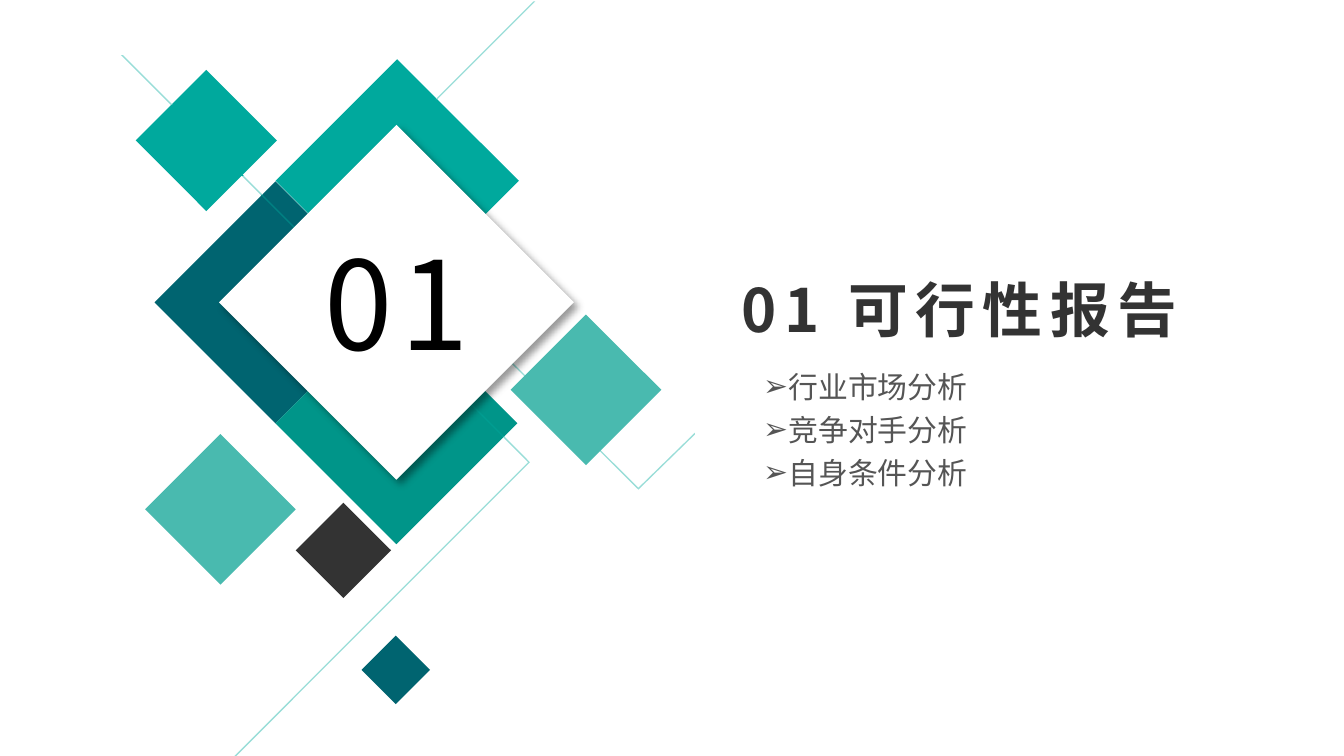
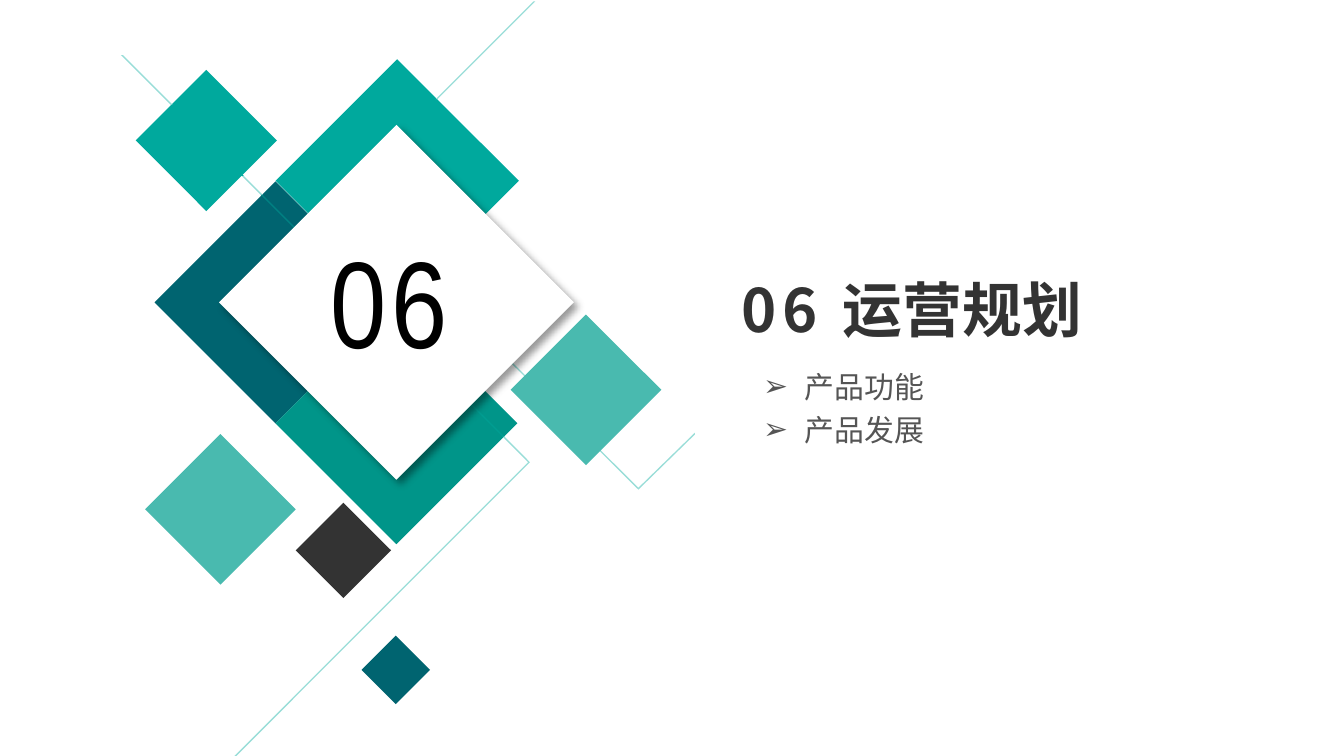
from lxml import etree
from pptx import Presentation
from pptx.dml.color import RGBColor
from pptx.enum.shapes import MSO_SHAPE
from pptx.enum.text import MSO_ANCHOR, MSO_AUTO_SIZE, PP_ALIGN
from pptx.oxml.ns import qn
from pptx.util import Inches, Pt

INK = {
    "teal": "00A99D", "deep": "006470", "green": "009589", "dark": "333333",
    "mint": "49BAAF", "pale": "99DDD8", "shade": "008082", "mid": "009D91",
    "white": "FFFFFF", "black": "000000", "gray": "555555",
}
CJK = "Noto Sans CJK SC"

# Diamonds: left, top, size, colour
BACK = [
    (1.15, 1.35, 1.8, "deep"),
    (2.05, 0.44, 1.81, "teal"),
    (1.01, 0.52, 1.05, "teal"),
    (2.05, 2.25, 1.8, "green"),
    (2.2, 3.74, 0.71, "dark"),
]
PANEL = (1.63, 0.93, 2.64, "white")
FRONT = [
    (3.8, 2.34, 1.12, "mint"),
    (1.08, 3.23, 1.12, "mint"),
    (2.69, 4.73, 0.51, "deep"),
]

# Thin strands: colour, then the spine of each piece
# A piece that bends downwards is widened down, the others sideways
STRANDS = [
    ("pale", [[(3.15, 2.04), (4.75, 3.63), (5.17, 3.22)],
              [(3.97, 0.01), (3.24, 0.74)]]),
    ("teal", [[(3.24, 0.74), (2.55, 1.44), (3.15, 2.05)]]),
    ("pale", [[(3.74, 3.25), (3.93, 3.44), (1.73, 5.64)],
              [(1.8, 1.31), (1.94, 1.45)],
              [(0.9, 0.41), (1.27, 0.78)]]),
    ("shade", [[(1.94, 1.45), (2.84, 2.35)]]),
    ("teal", [[(1.27, 0.78), (1.8, 1.31)]]),
    ("mid", [[(2.84, 2.35), (3.74, 3.25)]]),
]

SLIDES = [
    {"num": "01", "face": CJK, "spot": (2.32, 1.64, 1.6, 1.21), "gap": 4,
     "title": [("01 可行性报告", 4)],
     "items": ["行业市场分析", "竞争对手分析", "自身条件分析"],
     "font": CJK, "hang": 0.19, "box": (5.58, 2.64, 3.67, 1.07)},
    {"num": "06", "face": "Arial Narrow", "spot": (2.36, 1.63, 1.49, 1.21),
     "gap": 3, "title": [("06 ", 3), ("运营规划", 0)],
     "items": ["产品功能", "产品发展"],
     "font": "Open Sans", "hang": 0.31, "box": (5.58, 2.64, 2.84, 0.75)},
]


def color(name):
    return RGBColor.from_string(INK[name])


def paint(shape, name):
    shape.shadow.inherit = False
    shape.fill.solid()
    shape.fill.fore_color.rgb = color(name)
    shape.line.fill.background()


def style(run, face, size, name, bold=False, gap=0):
    font = run.font
    font.name, font.size, font.bold = face, Pt(size), bold
    font.color.rgb = color(name)
    props = run._r.get_or_add_rPr()
    props.set("spc", str(gap * 100))
    latin = props.find(qn("a:latin"))
    east = etree.Element(qn("a:ea"), typeface=face)
    latin.addnext(east)


def place(shape, box):
    shape.left, shape.top, shape.width, shape.height = map(Inches, box)
    frame = shape.text_frame
    frame.word_wrap = True
    frame.auto_size = MSO_AUTO_SIZE.SHAPE_TO_FIT_TEXT
    frame.vertical_anchor = MSO_ANCHOR.TOP
    return frame


def text_box(slide, box):
    return place(slide.shapes.add_textbox(*map(Inches, box)), box)


def diamond(slide, left, top, size, name):
    shape = slide.shapes.add_shape(
        MSO_SHAPE.DIAMOND, *map(Inches, (left, top, size, size)))
    paint(shape, name)
    return shape


def ribbon(spine):
    """Widen a spine into the outline of a thin band."""
    pts = [(Inches(x), Inches(y)) for x, y in spine]
    dips = len(pts) == 3 and pts[1][1] > max(pts[0][1], pts[2][1])
    dx, dy = (0, Pt(1)) if dips else (Pt(1), 0)
    return pts + [(x + dx, y + dy) for x, y in reversed(pts)]


def strand(slide, name, spines):
    first, *rest = map(ribbon, spines)
    build = slide.shapes.build_freeform(*first[0])
    build.add_line_segments(first[1:])
    for band in rest:
        build.move_to(*band[0])
        build.add_line_segments(band[1:])
    paint(build.convert_to_shape(), name)


def add_shadow(shape):
    effects = shape._element.spPr.find(qn("a:effectLst"))
    outer = etree.SubElement(
        effects, qn("a:outerShdw"), blurRad=str(Pt(4)), dist=str(Pt(3)),
        dir=str(45 * 60000), algn="tl", rotWithShape="0")
    tint = etree.SubElement(outer, qn("a:srgbClr"), val=INK["black"])
    etree.SubElement(tint, qn("a:alpha"), val="40000")


def add_title(slide, parts):
    frame = place(slide.shapes.title, (5.42, 1.98, 5.08, 0.64))
    para = frame.paragraphs[0]
    para.alignment = PP_ALIGN.LEFT
    for words, gap in parts:
        run = para.add_run()
        run.text = words
        style(run, CJK, 32, "dark", True, gap)


def add_list(slide, data):
    frame = text_box(slide, data["box"])
    frame.text = "\n".join(data["items"])
    hang = Inches(data["hang"])
    for para in frame.paragraphs:
        para.line_spacing = 1.2
        props = para._p.get_or_add_pPr()
        props.set("marL", str(hang))
        props.set("indent", str(-hang))
        etree.SubElement(props, qn("a:buFont"), typeface="Arial")
        etree.SubElement(props, qn("a:buChar"), char="➢")
        style(para.runs[0], data["font"], 16, "gray")


def add_art(slide):
    for item in BACK:
        diamond(slide, *item)
    for name, spines in STRANDS:
        strand(slide, name, spines)
    add_shadow(diamond(slide, *PANEL))
    for item in FRONT:
        diamond(slide, *item)


def add_number(slide, data):
    frame = text_box(slide, data["spot"])
    frame.text = data["num"]
    style(frame.paragraphs[0].runs[0], data["face"], 66, "black",
          gap=data["gap"])


def main():
    deck = Presentation()
    # 16:9 page
    deck.slide_width = Inches(10)
    deck.slide_height = deck.slide_width * 9 // 16
    for data in SLIDES:
        slide = deck.slides.add_slide(deck.slide_layouts[5])
        # Heading and topics
        add_list(slide, data)
        add_title(slide, data["title"])
        # Diamond artwork with the section number
        add_art(slide)
        add_number(slide, data)
    deck.save("out.pptx")


if __name__ == "__main__":
    main()
